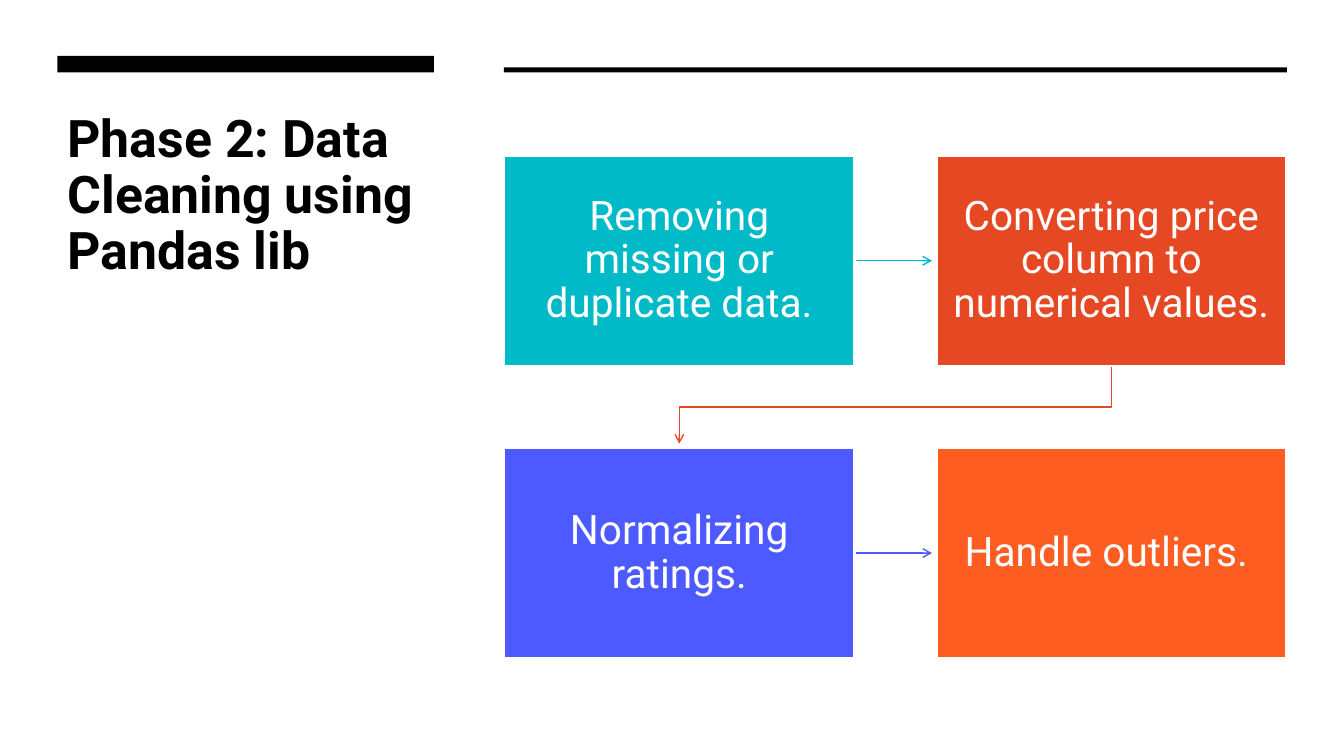
from lxml import etree
from pptx import Presentation
from pptx.dml.color import RGBColor
from pptx.enum import shapes, text
from pptx.oxml import ns
from pptx.util import Pt

FONT = "Roboto"
COLORS = {
    "black": "000000",
    "white": "FFFFFF",
    "teal": "00BAC8",
    "red": "E64823",
    "blue": "4D5AFF",
    "orange": "FE5D21",
}
STEPS = [
    ("Removing missing or duplicate data.", "teal"),
    ("Converting price column to numerical values.", "red"),
    ("Normalizing ratings.", "blue"),
    ("Handle outliers. ", "orange"),
]

# Grid of step cards, in points
COLUMNS = 2
LEFT, TOP = 360, 111
CARD_WIDTH, CARD_HEIGHT = 250.5, 150.5
PITCH_X, PITCH_Y = 308.7, 208.8
ARROW_GAP = 3


def rgb(name):
    return RGBColor.from_string(COLORS[name])


def format_text(frame, words, size, color, align, bold=False):
    frame.word_wrap = True
    frame.text = words
    para = frame.paragraphs[0]
    para.alignment = align
    para.line_spacing = 0.9
    font = para.runs[0].font
    font.name, font.size, font.bold = FONT, Pt(size), bold
    font.color.rgb = rgb(color)


def add_title(page, words):
    title = page.shapes.title
    title.left, title.top = Pt(41), Pt(77)
    title.width, title.height = Pt(277), Pt(140)
    frame = title.text_frame
    format_text(frame, words, 37, "black", text.PP_ALIGN.LEFT, bold=True)
    frame.vertical_anchor = text.MSO_ANCHOR.TOP
    frame.auto_size = text.MSO_AUTO_SIZE.NONE


def add_box(page, left, top, width, height, color):
    box = page.shapes.add_shape(
        shapes.MSO_SHAPE.RECTANGLE, Pt(left), Pt(top), Pt(width), Pt(height))
    box.shadow.inherit = False
    box.fill.solid()
    box.fill.fore_color.rgb = rgb(color)
    box.line.fill.background()
    return box


def card_position(index):
    row, column = divmod(index, COLUMNS)
    return LEFT + column * PITCH_X, TOP + row * PITCH_Y


def add_card(page, index, words, color):
    box = add_box(page, *card_position(index), CARD_WIDTH, CARD_HEIGHT, color)
    box.line.color.rgb = rgb("white")
    box.line.width = Pt(2)
    frame = box.text_frame
    frame.margin_left = frame.margin_right = Pt(12.3)
    frame.margin_top = frame.margin_bottom = Pt(12.9)
    frame.vertical_anchor = text.MSO_ANCHOR.MIDDLE
    format_text(frame, words, 29, "white", text.PP_ALIGN.CENTER)


def style_arrow(arrow, color):
    arrow.line.color.rgb = rgb(color)
    arrow.line.width = Pt(1)
    outline = arrow.line._get_or_add_ln()
    etree.SubElement(outline, ns.qn("a:tailEnd"), type="arrow")
    etree.SubElement(arrow._element.spPr, ns.qn("a:effectLst"))


def add_row_arrow(page, index, color):
    left, top = card_position(index)
    middle = Pt(top + CARD_HEIGHT / 2)
    arrow = page.shapes.add_connector(
        shapes.MSO_CONNECTOR.STRAIGHT, Pt(left + CARD_WIDTH), middle,
        Pt(left + PITCH_X - ARROW_GAP), middle)
    style_arrow(arrow, color)


def add_wrap_arrow(page, index, color):
    """Bent arrow from the end of one row to the start of the next."""
    start_left, start_top = card_position(index)
    end_left, end_top = card_position(index + 1)
    start_x, end_x = start_left + CARD_WIDTH / 2, end_left + CARD_WIDTH / 2
    start_y = start_top + CARD_HEIGHT
    middle = (start_y + end_top) / 2
    outline = page.shapes.build_freeform(Pt(start_x), Pt(start_y))
    corners = [(start_x, middle), (end_x, middle), (end_x, end_top - ARROW_GAP)]
    outline.add_line_segments([(Pt(x), Pt(y)) for x, y in corners], close=False)
    arrow = outline.convert_to_shape()
    arrow.fill.background()
    style_arrow(arrow, color)


def main():
    deck = Presentation()
    deck.slide_width, deck.slide_height = Pt(960), Pt(540)
    page = deck.slides.add_slide(deck.slide_layouts[5])
    page.background.fill.solid()
    page.background.fill.fore_color.rgb = rgb("white")

    # Title and header bars
    add_title(page, "Phase 2: Data Cleaning using Pandas lib")
    add_box(page, 41, 40, 269, 11.7, "black")
    add_box(page, 360, 48.2, 559.3, 3.6, "black")

    # Arrows lie behind the cards
    for index, (_, color) in enumerate(STEPS[:-1]):
        ends_row = index % COLUMNS == COLUMNS - 1
        add_arrow = add_wrap_arrow if ends_row else add_row_arrow
        add_arrow(page, index, color)

    # Step cards
    for index, (words, color) in enumerate(STEPS):
        add_card(page, index, words, color)

    deck.save("out.pptx")


if __name__ == "__main__":
    main()
